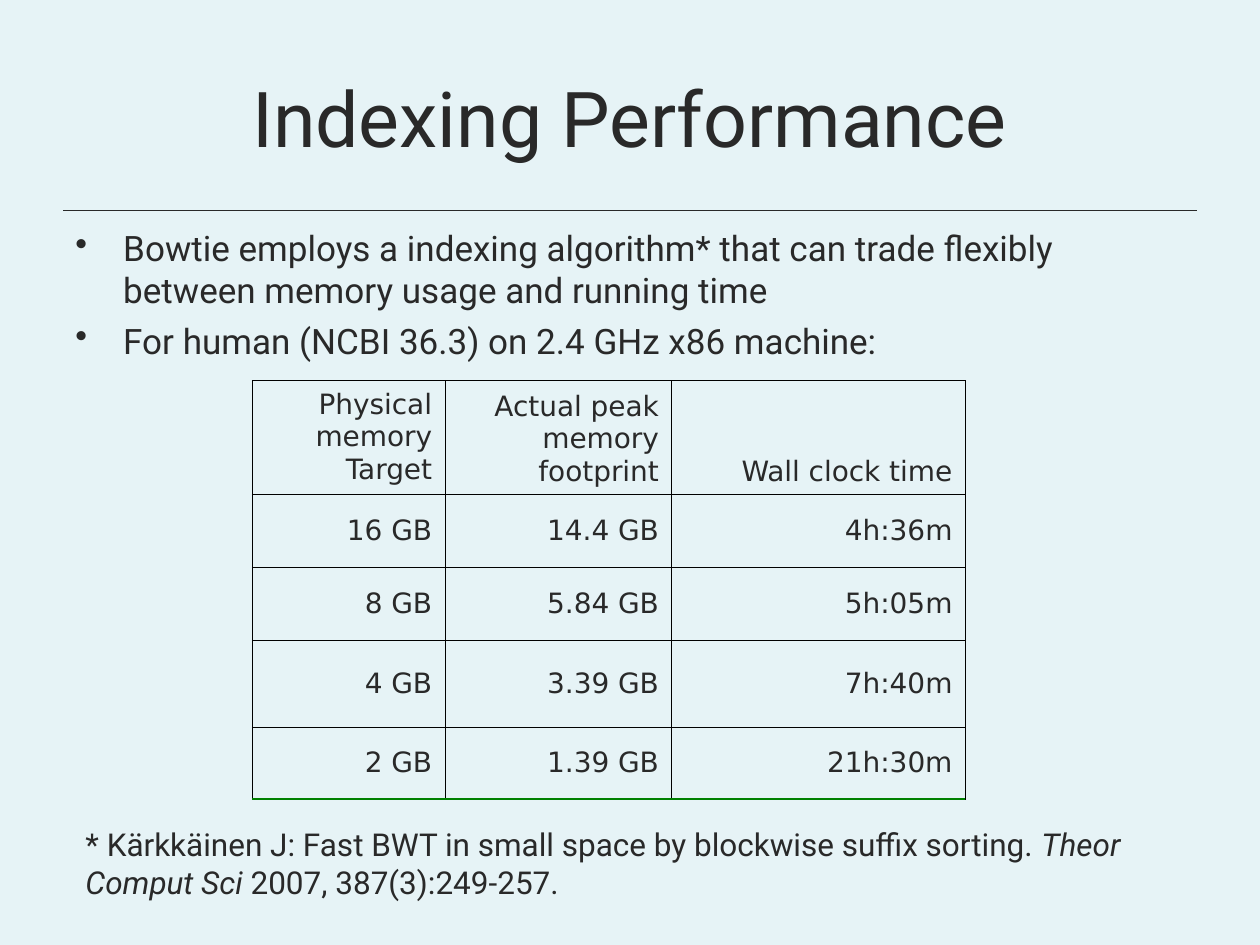
from pptx import Presentation
from pptx.dml.color import RGBColor
from pptx.enum.shapes import MSO_CONNECTOR
from pptx.enum.text import MSO_ANCHOR, PP_ALIGN
from pptx.oxml.ns import qn
from pptx.util import Inches, Pt
from lxml import etree

LEFT, CENTER, RIGHT = PP_ALIGN.LEFT, PP_ALIGN.CENTER, PP_ALIGN.RIGHT
TOP, MIDDLE, BOTTOM = MSO_ANCHOR.TOP, MSO_ANCHOR.MIDDLE, MSO_ANCHOR.BOTTOM
STRAIGHT = MSO_CONNECTOR.STRAIGHT
NO_STYLE = "{2D5ABB26-0587-4C30-8999-92F81FD0307C}"


def color(value):
    return RGBColor.from_string(value)


class SlideBuilder:
    """Holds the style and the current slide."""
    ink, paper = "292929", "E6F3F6"
    grid, base = "000000", "008000"
    font, table_font = "Roboto", "DejaVu Sans"
    hang = Inches(0.38)

    def __init__(self, prs):
        self.s = prs.slides.add_slide(prs.slide_layouts[6])
        fill = self.s.background.fill
        fill.solid()
        fill.fore_color.rgb = color(self.paper)

    def set_font(self, p, size, name):
        p.font.size, p.font.name = Pt(size), name
        p.font.color.rgb = color(self.ink)

    def hanging(self, p):
        pPr = p._p.get_or_add_pPr()
        pPr.set("marL", str(self.hang))
        pPr.set("indent", str(-self.hang))
        return pPr

    def text(self, box, paragraphs, size, align=LEFT, anchor=TOP,
             bullet=False, before=0):
        """Each paragraph is a list of (text, italic) runs."""
        tf = self.s.shapes.add_textbox(*map(Inches, box)).text_frame
        tf.word_wrap, tf.vertical_anchor = True, anchor
        for i, runs in enumerate(paragraphs):
            p = tf.add_paragraph() if i else tf.paragraphs[0]
            if bullet:
                etree.SubElement(self.hanging(p), qn("a:buChar"), char="•")
            p.alignment = align
            if i:
                p.space_before = Pt(before)
            self.set_font(p, size, self.font)
            for text, italic in runs:
                r = p.add_run()
                r.text = text
                if italic:
                    r.font.italic = True

    def rule(self, x1, y1, x2, y2, width):
        line = self.s.shapes.add_connector(
            STRAIGHT, *map(Inches, (x1, y1, x2, y2)))
        line.line.color.rgb = color(self.ink)
        line.line.width = Pt(width)
        etree.SubElement(line._element.spPr, qn("a:effectLst"))

    def border(self, cell, side, value, width):
        ln = etree.SubElement(cell._tc.get_or_add_tcPr(), qn("a:" + side),
                              w=str(Pt(width)))
        fill = etree.SubElement(ln, qn("a:solidFill"))
        etree.SubElement(fill, qn("a:srgbClr"), val=value)

    def table(self, x, y, cols, heights, rows, size):
        frame = self.s.shapes.add_table(
            len(rows), len(cols), *map(Inches, (x, y, sum(cols), sum(heights))))
        table = frame.table
        table.first_row = table.horz_banding = False
        frame._element.find(".//" + qn("a:tableStyleId")).text = NO_STYLE
        for column, width in zip(table.columns, cols):
            column.width = Inches(width)
        for i, (height, values) in enumerate(zip(heights, rows)):
            table.rows[i].height = Inches(height)
            for j, value in enumerate(values):
                cell = table.cell(i, j)
                cell.text = value
                cell.vertical_anchor = BOTTOM if i == 0 and j else MIDDLE
                for p in cell.text_frame.paragraphs:
                    self.hanging(p)
                    p.alignment = RIGHT
                    self.set_font(p, size, self.table_font)
                for side in ("lnL", "lnR", "lnT"):
                    self.border(cell, side, self.grid, 0.34)
                if i == len(rows) - 1:
                    self.border(cell, "lnB", self.base, 0.96)
                else:
                    self.border(cell, "lnB", self.grid, 0.34)
                cell.fill.background()


def main():
    prs = Presentation()
    prs.slide_width, prs.slide_height = Inches(10), Inches(7.5)
    slide = SlideBuilder(prs)

    # Title and rule
    slide.rule(0.5, 1.67, 9.5, 1.67, 0.75)
    slide.text((0.5, 0.3, 9, 1.25), [[("Indexing Performance", False)]], 44,
               align=CENTER, anchor=MIDDLE)

    # Bullets
    bullets = [
        "Bowtie employs a indexing algorithm* that can trade flexibly "
        "between memory usage and running time",
        "For human (NCBI 36.3) on 2.4 GHz x86 machine:",
    ]
    slide.text((0.5, 1.75, 9, 4.95), [[(b, False)] for b in bullets], 20,
               bullet=True, before=5)

    # Citation
    slide.text((0.58, 6.5, 8.58, 0.7), [[
        ("* Kärkkäinen J: Fast BWT in small space by blockwise suffix "
         "sorting. ", False),
        ("Theor Comput Sci ", True),
        ("2007, 387(3):249-257.", False),
    ]], 18)

    # Memory and time table
    slide.table(2, 3.02, [1.53, 1.8, 2.33], [0.9, 0.58, 0.58, 0.69, 0.57], [
        ("Physical memory\nTarget", "Actual peak memory footprint",
         "Wall clock time"),
        ("16 GB", "14.4 GB", "4h:36m"),
        ("8 GB", "5.84 GB", "5h:05m"),
        ("4 GB", "3.39 GB", "7h:40m"),
        ("2 GB", "1.39 GB", "21h:30m"),
    ], 16)

    prs.save("out.pptx")


if __name__ == "__main__":
    main()
